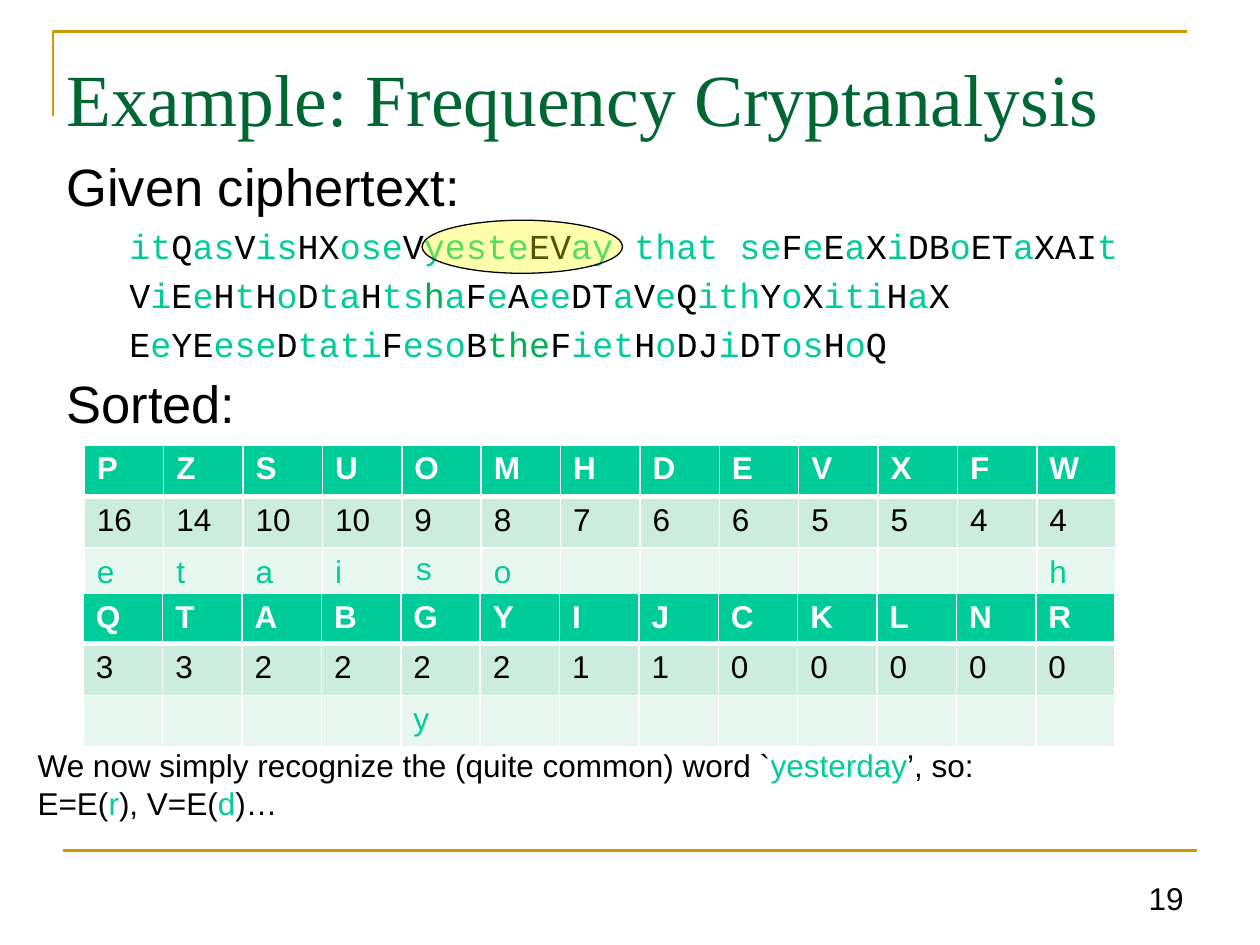
from dataclasses import dataclass
from itertools import groupby

from lxml.etree import SubElement
from pptx import Presentation
from pptx.dml.color import RGBColor as RGB
from pptx.enum.shapes import MSO_CONNECTOR as CONN, MSO_SHAPE as SHAPE
from pptx.enum.text import MSO_ANCHOR as ANCHOR, MSO_AUTO_SIZE as FIT, PP_ALIGN as ALIGN
from pptx.oxml.ns import qn
from pptx.util import Cm, Pt


@dataclass(frozen=True)
class Theme:
    """Colours, fonts and type sizes of the slide."""
    gold: str = "CC9900"
    title: str = "006633"
    ink: str = "000000"
    solved: str = "00CC99"
    word: str = "00B050"
    white: str = "FFFFFF"
    count_fill: str = "CCECDE"
    letter_fill: str = "E7F6EF"
    marker: str = "FFFF00"
    serif: str = "Times New Roman"
    sans: str = "Arial"
    mono: str = "Courier New"
    title_size: int = 42
    body_size: int = 30
    code_size: int = 20
    text_size: int = 18


T = Theme()

CIPHER = [
    ("itQasVisHXoseVyesteEVay that seFeEaXiDBoETaXAIt", range(0)),
    ("ViEeHtHoDtaHtshaFeAeeDTaVeQithYoXitiHaX", range(14, 15)),
    ("EeYEeseDtatiFesoBtheFietHoDJiDTosHoQ", range(17, 20)),
]
FREQUENT = [
    list("PZSUOMHDEVXFW"),
    "16 14 10 10 9 8 7 6 6 5 5 4 4".split(),
    ["e", "t", "a", "i", "s", "o", "", "", "", "", "", "", "h"],
]
RARE = [
    list("QTABGYIJCKLNR"),
    "3 3 2 2 2 2 1 1 0 0 0 0 0".split(),
    ["", "", "", "", "y", "", "", "", "", "", "", "", ""],
]


def style(r, size, color, font=T.sans, bold=False):
    """Format one run."""
    r.font.size, r.font.name, r.font.bold = Pt(size), font, bold
    r.font.color.rgb = RGB.from_string(color)


def add_runs(p, parts, size, font=T.sans):
    """Add coloured pieces of text to a paragraph."""
    for text, color in parts:
        r = p.add_run()
        r.text = text
        style(r, size, color, font)


def add_box(s, left, top, width, height):
    """Add a wrapping text box and return its text frame."""
    tf = s.shapes.add_textbox(Cm(left), Cm(top), Cm(width), Cm(height)).text_frame
    tf.word_wrap = True
    return tf


def add_label(s, box, text, size, color, font):
    """Add a text box with a single run and return its text frame."""
    tf = add_box(s, *box)
    tf.text = text
    style(tf.paragraphs[0].runs[0], size, color, font)
    return tf


def set_line(line, color, width):
    """Set the colour and width of a line."""
    line.color.rgb = RGB.from_string(color)
    line.width = Pt(width)


def add_frame(s):
    """Draw the gold corner at the top and the rule at the bottom."""
    fb = s.shapes.build_freeform(Cm(1.07), Cm(2.34))
    fb.add_line_segments([(Cm(1.07), Cm(0.64)), (Cm(23.93), Cm(0.64))], close=False)
    corner = fb.convert_to_shape()
    corner.fill.background()
    corner.shadow.inherit = False
    set_line(corner.line, T.gold, 1.5)
    rule = s.shapes.add_connector(CONN.STRAIGHT, Cm(1.27), Cm(17.15), Cm(24.13), Cm(17.15))
    SubElement(rule.line._get_or_add_ln().getparent(), qn("a:effectLst"))
    set_line(rule.line, T.gold, 1.5)


def cipher_parts(line, found):
    """Split a line into runs: capitals are unsolved, found marks a word."""
    def color(item):
        i, ch = item
        return T.word if i in found else T.ink if ch.isupper() else T.solved
    return [("".join(ch for _, ch in group), c) for c, group in groupby(enumerate(line), color)]


def add_body(s):
    """Write the ciphertext between its two headings."""
    tf = add_box(s, 1.09, 3.12, 23.93, 5.84)
    heading = (T.body_size, T.sans, 7.5, 0.95, -0.95)
    code = (T.code_size, T.mono, 6.5, 2.06, -0.79)
    rows = [([("Given ciphertext:", T.ink)], heading)]
    rows += [(cipher_parts(line, found), code) for line, found in CIPHER]
    rows.append(([("Sorted:", T.ink)], heading))
    for i, (parts, (size, font, before, margin, indent)) in enumerate(rows):
        p = tf.add_paragraph() if i else tf.paragraphs[0]
        p.line_spacing, p.space_before = 0.9, Pt(before)
        pPr = p._p.get_or_add_pPr()
        pPr.set("marL", str(Cm(margin)))
        pPr.set("indent", str(Cm(indent)))
        add_runs(p, parts, size, font)


def set_borders(cell, widths):
    """Give a cell white borders, with widths by side."""
    tcPr = cell._tc.get_or_add_tcPr()
    for side, width in widths.items():
        ln = SubElement(tcPr, qn(f"a:ln{side}"), w=str(Pt(width)))
        SubElement(SubElement(ln, qn("a:solidFill")), qn("a:srgbClr"), val=T.white)


def add_frequencies(s, left, top, heights, rows):
    """Add a table of letters, counts and solved letters."""
    looks = [(T.solved, T.white), (T.count_fill, T.ink), (T.letter_fill, T.solved)]
    n, col = len(rows[0]), Cm(1.6)
    table = s.shapes.add_table(len(rows), n, Cm(left), Cm(top), col * n, Cm(sum(heights))).table
    for c in table.columns:
        c.width = col
    for i, (row, height, (fill, ink)) in enumerate(zip(rows, heights, looks)):
        table.rows[i].height = Cm(height)
        for j, text in enumerate(row):
            cell = table.cell(i, j)
            set_borders(cell, {"L": 1, "R": 1, "T": 3 if i == 1 else 1, "B": 3 if i == 0 else 1})
            cell.fill.solid()
            cell.fill.fore_color.rgb = RGB.from_string(fill)
            p = cell.text_frame.paragraphs[0]
            p.text = text
            p.font.size = Pt(T.text_size)
            for r in p.runs:
                style(r, T.text_size, ink, T.mono if text == "s" else T.sans, i == 0)


def add_note(s):
    """Write the conclusion below the tables."""
    tf = add_box(s, 0.51, 14.91, 19.74, 1.8)
    tf.word_wrap, tf.auto_size = False, FIT.SHAPE_TO_FIT_TEXT
    add_runs(tf.paragraphs[0], [
        ("We now simply recognize the (quite common) word `", T.ink),
        ("yesterday", T.solved), ("’, so:", T.ink)], T.text_size)
    add_runs(tf.add_paragraph(), [
        ("E=E(", T.ink), ("r", T.solved), ("), V=E(", T.ink),
        ("d", T.solved), (")…", T.ink)], T.text_size)


def add_marker(s):
    """Highlight the recognized word with a translucent ellipse."""
    sp = s.shapes.add_shape(SHAPE.OVAL, Cm(8.51), Cm(4.44), Cm(4.04), Cm(1.07))
    sp.shadow.inherit = False
    sp.fill.solid()
    sp.fill.fore_color.rgb = RGB.from_string(T.marker)
    SubElement(sp._element.spPr.find(".//" + qn("a:srgbClr")), qn("a:alpha"), val="33000")
    set_line(sp.line, T.ink, 0.75)


def main():
    """Build and save the slide."""
    prs = Presentation()
    prs.slide_width, prs.slide_height = Cm(25.4), Cm(19.05)
    s = prs.slides.add_slide(prs.slide_layouts[6])
    add_frame(s)
    tf = add_label(s, (1.09, 0.76, 23.04, 3.81), "Example: Frequency Cryptanalysis",
                   T.title_size, T.title, T.serif)
    tf.margin_top = Cm(0.31)
    add_body(s)
    add_frequencies(s, 1.7, 8.97, (1.04, 1.04, 1.04), FREQUENT)
    add_frequencies(s, 1.68, 11.96, (0.84, 1.04, 1.04), RARE)
    add_note(s)
    add_marker(s)
    tf = add_label(s, (22.76, 17.37, 1.35, 1.24), "19", T.text_size, T.ink, T.sans)
    tf.vertical_anchor = ANCHOR.BOTTOM
    tf.paragraphs[0].alignment = ALIGN.RIGHT
    prs.save("out.pptx")


if __name__ == "__main__":
    main()
